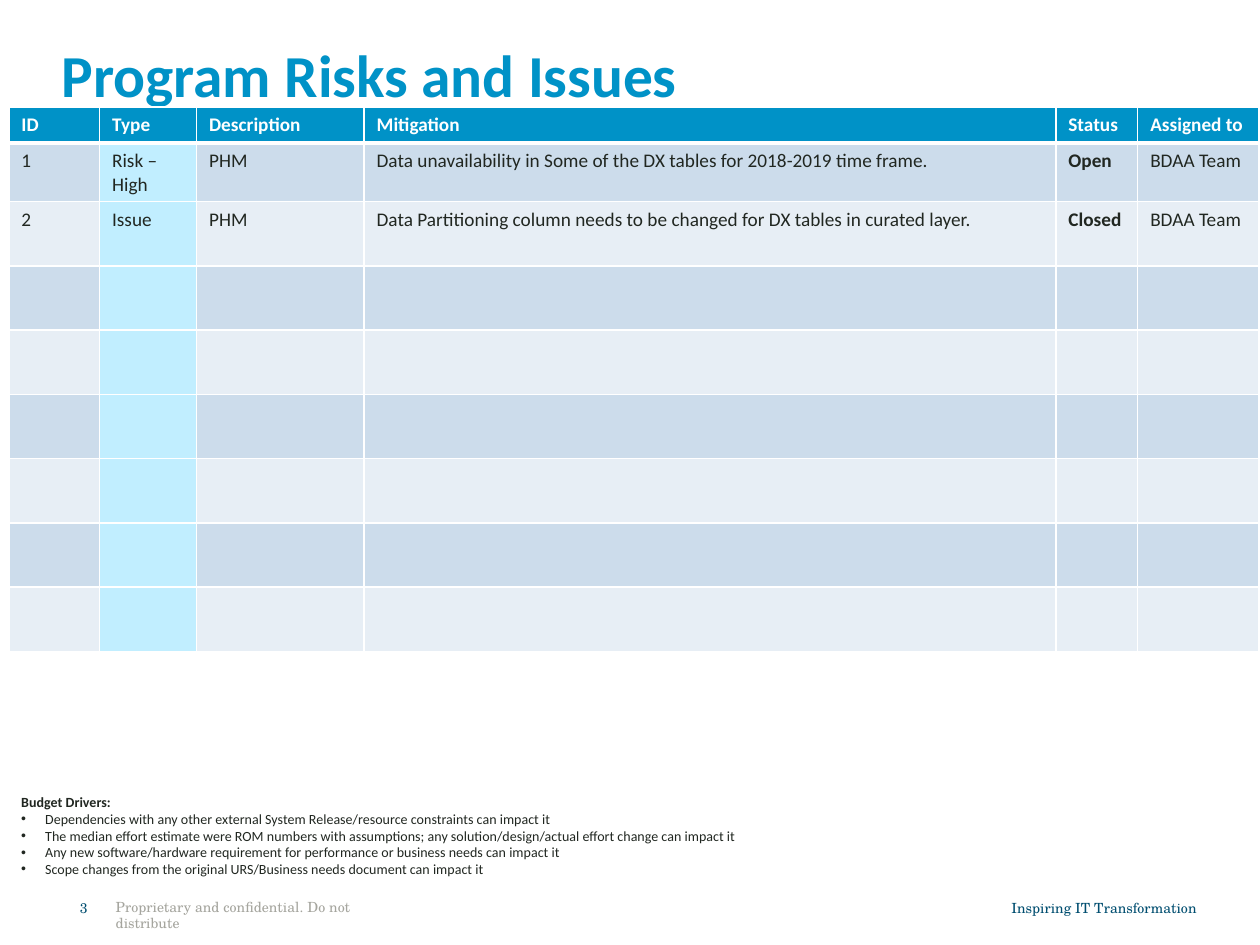
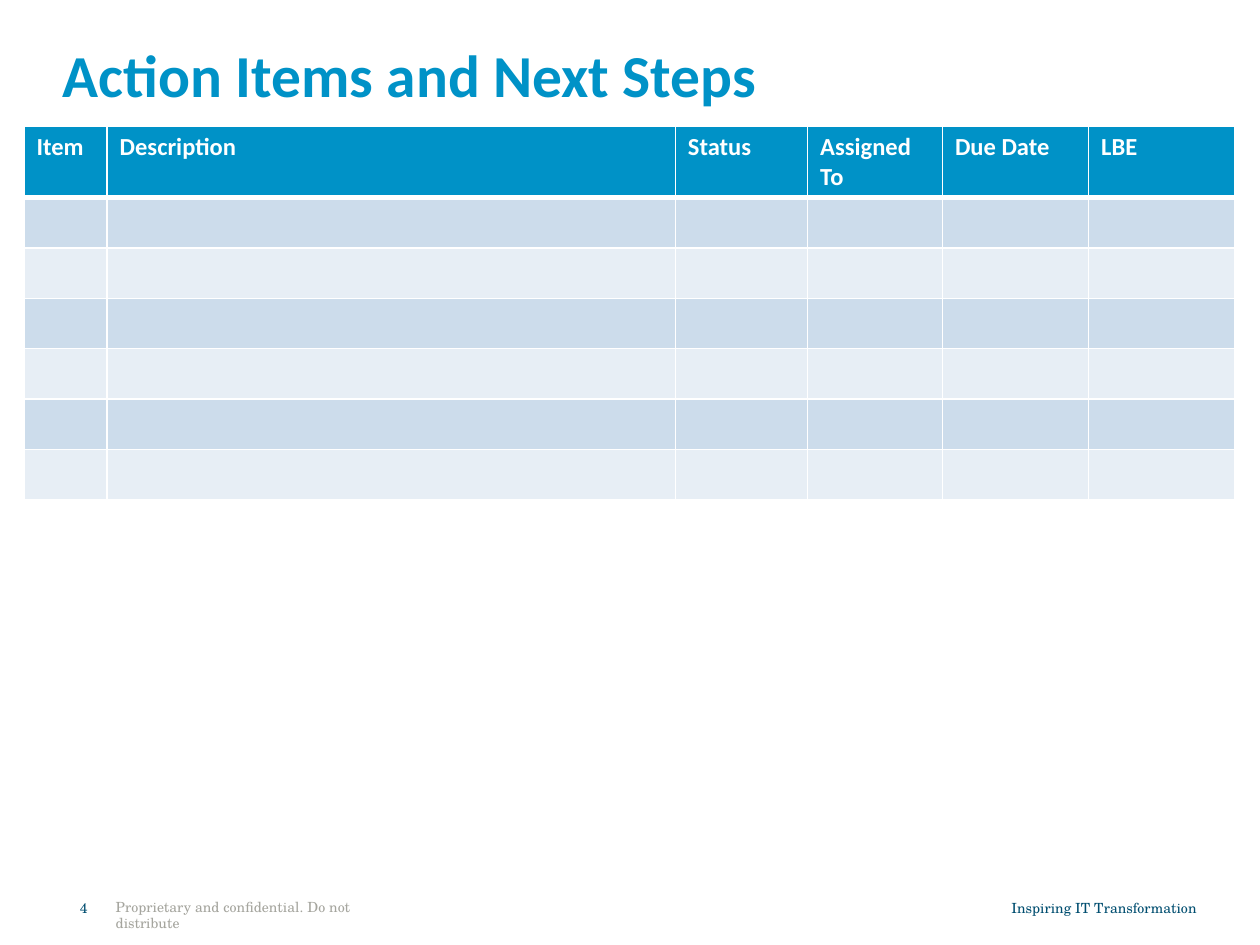
from lxml.etree import SubElement
from pptx import Presentation
from pptx.dml.color import RGBColor
from pptx.enum.text import MSO_ANCHOR as Anchor, PP_ALIGN as Align
from pptx.oxml import parse_xml
from pptx.oxml.ns import nsdecls, qn
from pptx.util import Inches, Pt

# Shared style
BLUE, NAVY, GREY, INK, WHITE = "0092C7", "004E70", "A5A59E", "212721", "FFFFFF"
BANDS = ("CCDCEB", "E7EEF5")
HIGHLIGHT = "C1EEFF"
BODY_FONT, FOOTER_FONT = "Calibri", "TeX Gyre Schola"
FOOTER_TOP = 7.08

# Slide content
RISK_ROWS = [
    ("ID", "Type", "Description", "Mitigation", "Status", "Assigned to"),
    ("1", "Risk – High", "PHM",
     "Data unavailability in Some of the DX tables for 2018-2019 time frame.",
     "Open", "BDAA Team"),
    ("2", "Issue", "PHM",
     "Data Partitioning column needs to be changed for DX tables in curated layer.",
     "Closed", "BDAA Team"),
]
ACTION_ROWS = [("Item", "Description", "Status", "Assigned To", "Due Date", "LBE")]
BUDGET_DRIVERS = [
    "Dependencies with any other external System Release/resource constraints can impact it",
    "The median effort estimate were ROM numbers with assumptions; "
    "any solution/design/actual effort change can impact it",
    "Any new software/hardware requirement for performance or business needs can impact it",
    "Scope changes from the original URS/Business needs document can impact it",
]


def color(hex_value):
    return RGBColor.from_string(hex_value)


def format_runs(paragraph, size, hex_value, bold=False, font=BODY_FONT):
    for run in paragraph.runs:
        run.font.name = font
        run.font.size = Pt(size)
        run.font.bold = bold
        run.font.color.rgb = color(hex_value)


def add_text(slide, box, text, size, hex_value, bold=False, font=BODY_FONT,
             align=Align.LEFT, anchor=Anchor.TOP, inset=True):
    """Add a wrapping text box; every line of text becomes a paragraph."""
    frame = slide.shapes.add_textbox(*map(Inches, box)).text_frame
    frame.word_wrap = True
    frame.vertical_anchor = anchor
    if not inset:
        frame.margin_left = frame.margin_right = 0
        frame.margin_top = frame.margin_bottom = 0
    frame.text = text
    for paragraph in frame.paragraphs:
        paragraph.alignment = align
        format_runs(paragraph, size, hex_value, bold, font)
    return frame


def add_bullet(paragraph, indent):
    properties = paragraph._p.get_or_add_pPr()
    properties.set("marL", str(Inches(indent)))
    properties.set("indent", str(-Inches(indent)))
    SubElement(properties, qn("a:buFont"), typeface="Arial")
    SubElement(properties, qn("a:buChar"), char="•")


def set_borders(cell, top, bottom):
    """Draw white borders, with the widths of the horizontal ones in points."""
    properties = cell._tc.get_or_add_tcPr()
    sides = (("lnL", 1), ("lnR", 1), ("lnT", top), ("lnB", bottom))
    for position, (side, width) in enumerate(sides):
        properties.insert(position, parse_xml(
            f'<a:{side} {nsdecls("a")} w="{Pt(width)}"><a:solidFill>'
            f'<a:srgbClr val="{WHITE}"/></a:solidFill></a:{side}>'))


def fill_cell(cell, text, size, hex_value, bold, background):
    cell.fill.solid()
    cell.fill.fore_color.rgb = color(background)
    paragraph = cell.text_frame.paragraphs[0]
    if text:
        paragraph.text = text
        format_runs(paragraph, size, hex_value, bold)
    else:
        SubElement(paragraph._p, qn("a:endParaRPr"), sz=str(size * 100))


def add_banded_table(slide, left, top, widths, heights, rows, size,
                     highlight_column=None, bold_column=None):
    """Add a table with a blue header; rows without content stay empty."""
    table = slide.shapes.add_table(
        len(heights), len(widths), Inches(left), Inches(top),
        Inches(sum(widths)), Inches(sum(heights))).table
    for column, width in zip(table.columns, widths):
        column.width = Inches(width)
    for row_index, height in enumerate(heights):
        table.rows[row_index].height = Inches(height)
        is_header = row_index == 0
        texts = rows[row_index] if row_index < len(rows) else [""] * len(widths)
        for column_index, text in enumerate(texts):
            if is_header:
                background = BLUE
            elif column_index == highlight_column:
                background = HIGHLIGHT
            else:
                background = BANDS[(row_index - 1) % 2]
            cell = table.cell(row_index, column_index)
            fill_cell(cell, text, size, WHITE if is_header else INK,
                      is_header or column_index == bold_column, background)
            set_borders(cell, top=3 if row_index == 1 else 1,
                        bottom=3 if is_header else 1)


def add_footer(slide, number):
    add_text(slide, (0.82, FOOTER_TOP, 2.51, 0.24),
             "Proprietary and confidential. Do not distribute",
             8, GREY, font=FOOTER_FONT)
    add_text(slide, (7.75, FOOTER_TOP, 1.75, 0.25), "Inspiring IT Transformation",
             8, NAVY, font=FOOTER_FONT, align=Align.RIGHT,
             anchor=Anchor.MIDDLE, inset=False)
    add_text(slide, (0.5, FOOTER_TOP, 0.33, 0.25), str(number),
             8, NAVY, font=FOOTER_FONT, align=Align.CENTER,
             anchor=Anchor.MIDDLE, inset=False)


def add_titled_slide(presentation, title, number, title_left=0.5):
    slide = presentation.slides.add_slide(presentation.slide_layouts[6])
    add_footer(slide, number)
    add_text(slide, (title_left, 0.3, 9, 0.7), title, 34, BLUE, bold=True, inset=False)
    return slide


def add_budget_drivers(slide):
    frame = add_text(slide, (0.07, 6.25, 9.75, 0.77),
                     "\n".join(["Budget Drivers:"] + BUDGET_DRIVERS), 8, INK)
    heading, *drivers = frame.paragraphs
    format_runs(heading, 8, INK, bold=True)
    for driver in drivers:
        add_bullet(driver, 0.19)


def main():
    presentation = Presentation()
    presentation.slide_width, presentation.slide_height = Inches(10), Inches(7.5)

    # Risks and issues
    slide = add_titled_slide(presentation, "Program Risks and Issues", 3, title_left=0.49)
    add_banded_table(slide, 0.07, 0.85, [0.72, 0.77, 1.33, 5.49, 0.65, 0.96],
                     [0.24, 0.39] + [0.51] * 7, RISK_ROWS, 11,
                     highlight_column=1, bold_column=4)
    add_budget_drivers(slide)

    # Action items
    slide = add_titled_slide(presentation, "Action Items and Next Steps", 4)
    add_banded_table(slide, 0.19, 1, [0.66, 4.51, 1.05, 1.07, 1.16, 1.16],
                     [0.56] + [0.4] * 6, ACTION_ROWS, 14)

    presentation.save("out.pptx")


if __name__ == "__main__":
    main()
